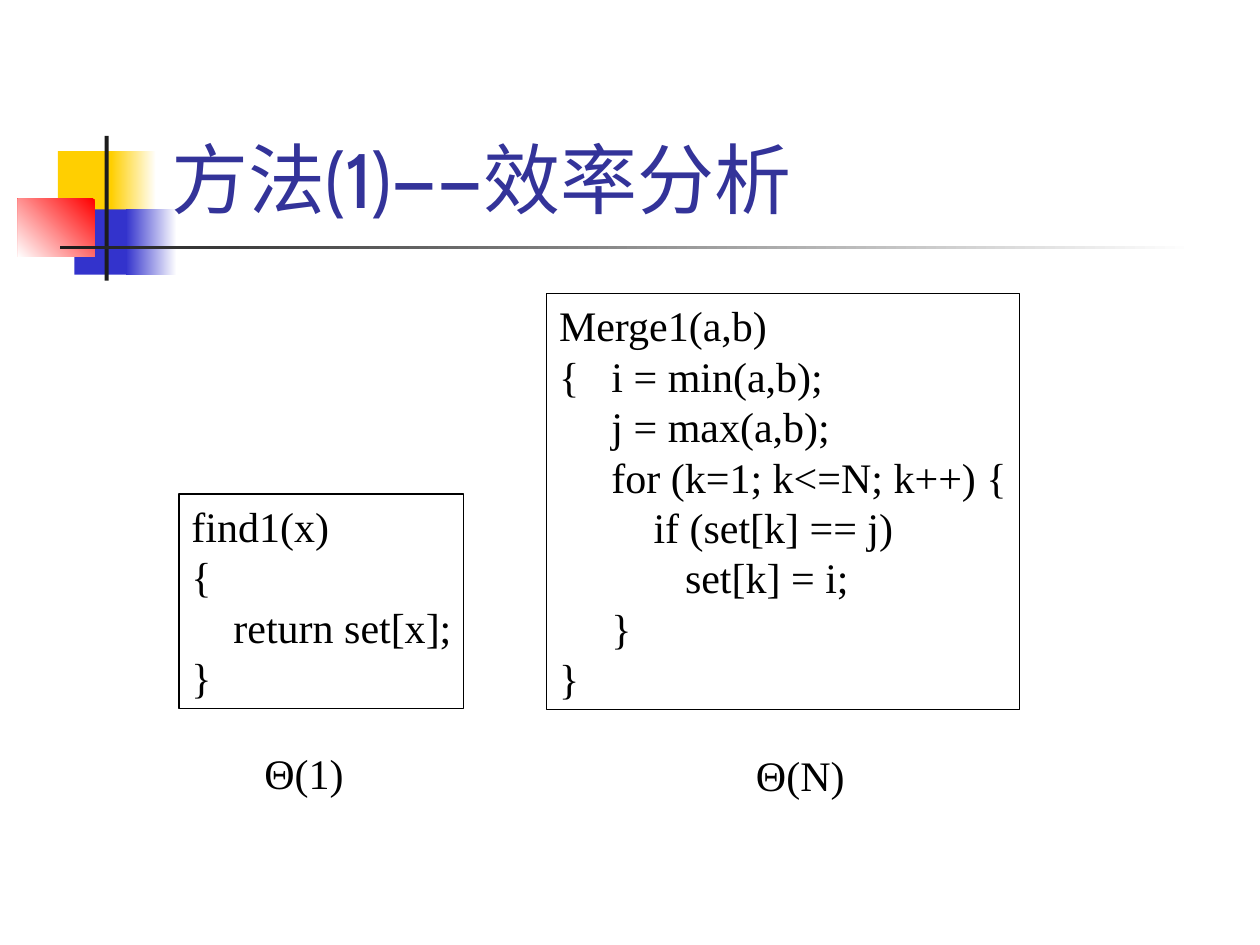
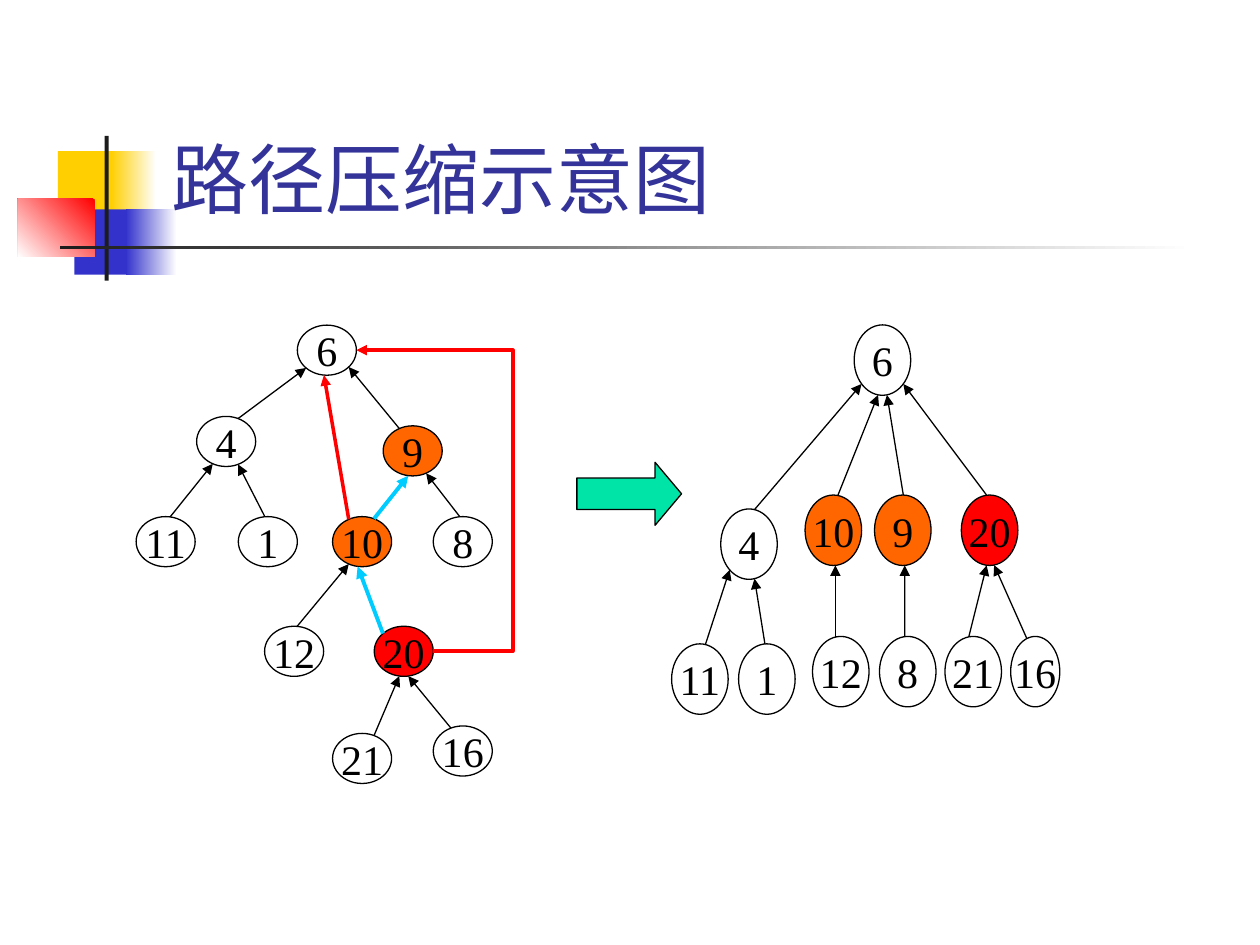
"""Build two slides on disjoint sets: merge cost and path compression."""
from math import sqrt

from lxml.etree import SubElement
from pptx import Presentation
from pptx.dml.color import RGBColor
from pptx.enum.shapes import MSO_CONNECTOR, MSO_SHAPE
from pptx.enum.text import MSO_ANCHOR, PP_ALIGN
from pptx.oxml.ns import qn
from pptx.util import Cm, Pt

BLACK, WHITE, RED, ORANGE = "000000", "FFFFFF", "FF0000", "FF6600"
YELLOW, BLUE, CHARCOAL, NAVY = "FFCF01", "3333CC", "1C1C1C", "333399"
CYAN, GREEN = "00CCFF", "00E4A8"
THIN, RED_WIDTH, CYAN_WIDTH = 0.74, 2, 2.25

TITLE_STYLE = {"name": "Cabin", "size": Pt(44)}
BODY_STYLE = {"name": "Times New Roman", "size": Pt(24)}
BODY_PITCH = Pt(28.8)
SPACE = Pt(6)

TITLE_BOX = (3.2, 0.58, 21.64, 4.06)
BANDS = [
    ((1.17, 3.05, 1.22, 1.32), YELLOW),
    ((2.24, 3.05, 0.91, 1.32), (WHITE, YELLOW, 180)),
    ((1.5, 4.22, 1.17, 1.32), BLUE),
    ((2.54, 4.22, 1.02, 1.32), (WHITE, BLUE, 180)),
    ((0.36, 4.01, 1.55, 1.17), (RED, WHITE, 225)),
    ((2.11, 2.74, 0.08, 2.92), CHARCOAL),
    ((1.22, 4.95, 22.86, 0.08), (WHITE, CHARCOAL, 180)),
]

ANALYSIS_TITLE = "方法(1)——效率分析"
LISTINGS = [
    ((3.61, 9.96, 5.74, 4.32),
     [(0, "find1(x)"), (0, "{"), (4, "return set[x];"), (0, "}")]),
    ((11.02, 5.92, 9.53, 8.38),
     [(0, "Merge1(a,b)"), (5, "{\ti = min(a,b);"), (5, "j = max(a,b);"),
      (5, "for (k=1; k<=N; k++) {"), (9, "if (set[k] == j)"),
      (12, "set[k] = i;"), (5, "}"), (0, "}")]),
]
COSTS = [((5.08, 14.94, 2.11, 1.27), "Θ(1)"),
         ((14.99, 14.99, 2.29, 1.27), "Θ(N)")]

COMPRESSION_TITLE = "路径压缩示意图"
NODE_FILLS = {9: ORANGE, 10: ORANGE, 20: RED}
BEFORE = {
    "size": (1.19, 1.01),
    "narrow": {},
    "nodes": {6: (6.59, 7.06), 4: (4.56, 8.9), 9: (8.32, 9.09),
              11: (3.34, 10.92), 1: (5.4, 10.92), 10: (7.3, 10.92),
              8: (9.33, 10.92), 12: (5.93, 13.13), 20: (8.14, 13.13),
              21: (7.3, 15.29), 16: (9.33, 15.14)},
    "links": [(4, 6, 0.24, -0.42), (9, 6, -0.27, 0.44),
              (11, 4, 0.09, -0.27), (1, 4, -0.06, 0.24),
              (10, 9, 0.24, -0.09, CYAN, CYAN_WIDTH),
              (8, 9, -0.06, 0.27), (12, 10, 0.06, -0.27),
              (20, 10, -0.42, -0.09, CYAN, CYAN_WIDTH),
              (21, 20, 0.24, -0.09), (16, 20, -0.24, 0.09),
              (10, 6, -0.27, -0.06, RED, RED_WIDTH)],
}
AFTER = {
    "size": (1.14, 1.42),
    "narrow": {16: 0.99},
    "nodes": {6: (17.79, 7.26), 4: (15.1, 10.97), 10: (16.8, 10.69),
              9: (18.2, 10.69), 20: (19.95, 10.69), 11: (14.11, 13.69),
              1: (15.46, 13.69), 12: (16.95, 13.54), 8: (18.3, 13.54),
              21: (19.62, 13.54), 16: (20.87, 13.54)},
    "links": [(4, 6, 0.11, -0.42), (10, 6, 0.09, -0.09),
              (9, 6, 0.01, 0.09), (20, 6, -0.06, 0.42),
              (11, 4, 0.11, -0.39), (1, 4, -0.04, 0.11),
              (12, 10, -0.11, 0.04), (8, 9, -0.06, 0.04),
              (21, 20, -0.09, -0.06), (16, 20, -0.17, 0.09)],
}
DETOUR_X = 10.34
ARROW_BOX = (11.63, 9.32, 2.11, 1.27)


def rgb(code):
    return RGBColor.from_string(code)


def apply(target, values):
    for name, value in values.items():
        setattr(target, name, value)


def paint(shape, fill, outline):
    shape.shadow.inherit = False
    if fill is None:
        shape.fill.background()
    elif isinstance(fill, tuple):
        shape.fill.gradient()
        shape.fill.gradient_angle = fill[2]
        for stop, code, position in zip(shape.fill.gradient_stops, fill, (0, 1)):
            stop.color.rgb = rgb(code)
            stop.position = position
    else:
        shape.fill.solid()
        shape.fill.fore_color.rgb = rgb(fill)
    if outline:
        shape.line.color.rgb = rgb(BLACK)
        shape.line.width = Pt(THIN)
    else:
        shape.line.fill.background()


def add_figure(shapes, preset, box, fill=None, outline=True):
    figure = shapes.add_shape(preset, *map(Cm, box))
    paint(figure, fill, outline)
    return figure


def write(shape, lines, style, color, frame, paragraph_format):
    apply(shape.text_frame, frame)
    for index, (spaces, words) in enumerate(lines):
        text = shape.text_frame
        paragraph = text.add_paragraph() if index else text.paragraphs[0]
        run = paragraph.add_run()
        run.text = words
        apply(paragraph, paragraph_format)
        apply(run.font, style)
        run.font.color.rgb = rgb(color)
        if spaces:
            properties = paragraph._p.get_or_add_pPr()
            properties.set("marL", str(spaces * SPACE))
            if "\t" in words:
                properties.set("indent", str(-spaces * SPACE))


def write_body(shape, lines):
    write(shape, lines, BODY_STYLE, BLACK,
          {"word_wrap": True, "margin_right": 0, "vertical_anchor": MSO_ANCHOR.TOP},
          {"alignment": PP_ALIGN.LEFT, "line_spacing": BODY_PITCH})


def add_titled_slide(deck, title):
    slide = deck.slides.add_slide(deck.slide_layouts[6])
    for box, fill in BANDS:
        add_figure(slide.shapes, MSO_SHAPE.RECTANGLE, box, fill, False)
    heading = slide.shapes.add_textbox(*map(Cm, TITLE_BOX))
    write(heading, [(0, title)], TITLE_STYLE, NAVY,
          {"word_wrap": True, "vertical_anchor": MSO_ANCHOR.BOTTOM},
          {"alignment": PP_ALIGN.LEFT})
    return slide


def add_link(shapes, start, end, color=BLACK, width=THIN, kind=MSO_CONNECTOR.STRAIGHT):
    link = shapes.add_connector(kind, *map(Cm, start + end))
    link.line.color.rgb = rgb(color)
    link.line.width = Pt(width)
    SubElement(link.line._get_or_add_ln(), qn("a:tailEnd"), type="triangle")
    SubElement(link._element.spPr, qn("a:effectLst"))
    return link


def add_tree(slide, tree):
    shapes = slide.shapes.add_group_shape().shapes
    width, height = tree["size"]
    nodes = tree["nodes"]

    def rim(key, offset, side):
        x, y = nodes[key]
        half = tree["narrow"].get(key, width) / 2
        return x + offset, y + side * height / 2 * sqrt(1 - (offset / half) ** 2)

    for key, (x, y) in nodes.items():
        across = tree["narrow"].get(key, width)
        node = add_figure(shapes, MSO_SHAPE.OVAL,
                          (x - across / 2, y - height / 2, across, height),
                          NODE_FILLS.get(key, WHITE))
        write(node, [(0, str(key))], BODY_STYLE, BLACK,
              {"word_wrap": False, "vertical_anchor": MSO_ANCHOR.MIDDLE},
              {"alignment": PP_ALIGN.CENTER, "line_spacing": BODY_PITCH})
    for child, parent, leave, arrive, *look in tree["links"]:
        add_link(shapes, rim(child, leave, -1), rim(parent, arrive, 1), *look)
    return shapes


def add_detour(shapes, tree, child, root):
    half = tree["size"][0] / 2
    (x1, y1), (x2, y2) = tree["nodes"][child], tree["nodes"][root]
    start, end = (x1 + half, y1), (x2 + half, y2)
    detour = add_link(shapes, start, end, RED, RED_WIDTH, MSO_CONNECTOR.ELBOW)
    bend = round((DETOUR_X - start[0]) / (end[0] - start[0]) * 100000)
    guides = detour._element.spPr.find(qn("a:prstGeom")).get_or_add_avLst()
    SubElement(guides, qn("a:gd"), name="adj1", fmla=f"val {bend}")


deck = Presentation()
apply(deck, {"slide_width": Cm(25.4), "slide_height": Cm(19.05)})

analysis = add_titled_slide(deck, ANALYSIS_TITLE)
for box, lines in LISTINGS:
    write_body(add_figure(analysis.shapes, MSO_SHAPE.RECTANGLE, box), lines)
for box, cost in COSTS:
    write_body(analysis.shapes.add_textbox(*map(Cm, box)), [(0, cost)])

compression = add_titled_slide(deck, COMPRESSION_TITLE)
add_detour(add_tree(compression, BEFORE), BEFORE, 20, 6)
add_tree(compression, AFTER)
arrow = add_figure(compression.shapes, MSO_SHAPE.RIGHT_ARROW, ARROW_BOX, GREEN)
arrow.adjustments[0], arrow.adjustments[1] = 0.5, 0.42

deck.save("out.pptx")
